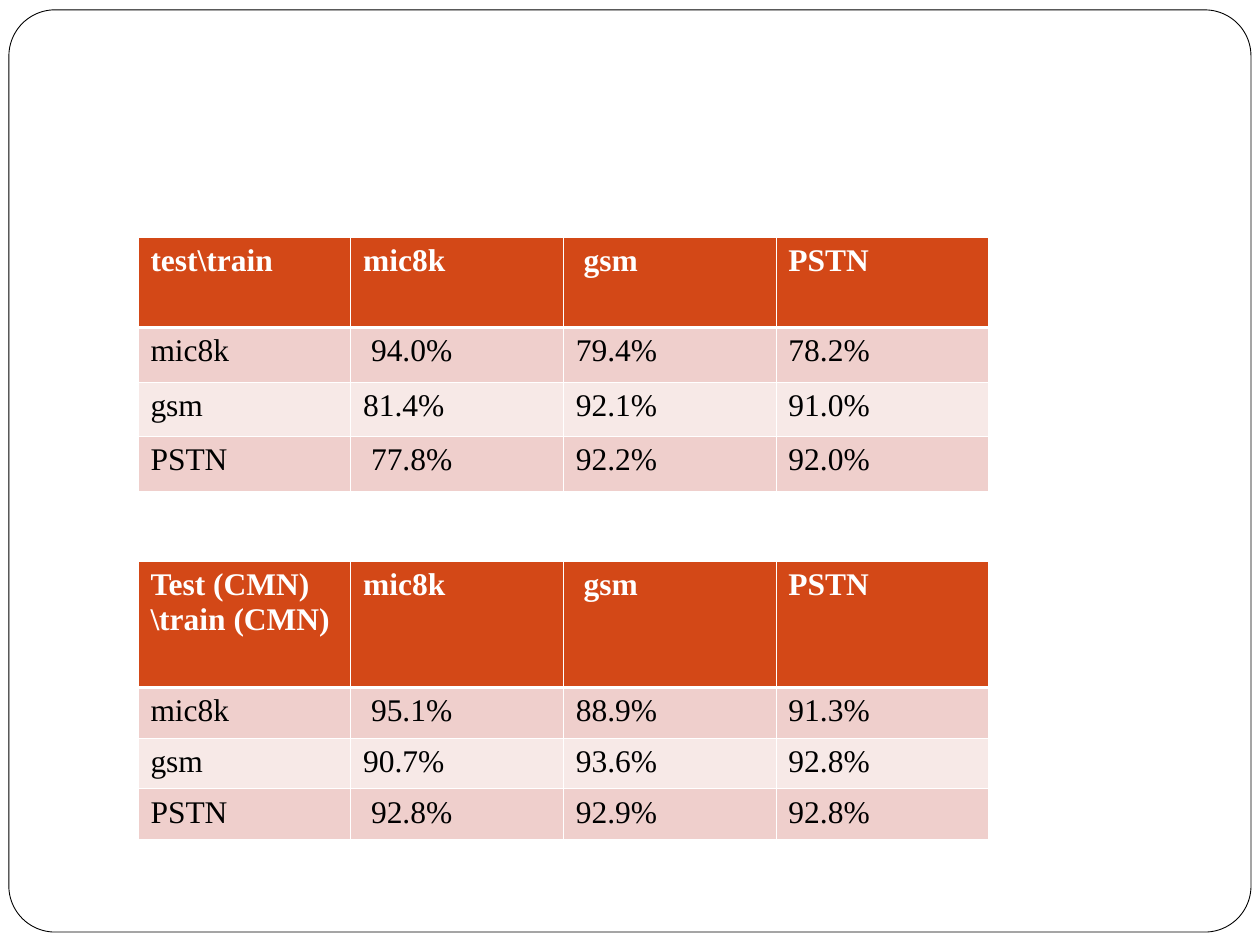
from lxml.etree import SubElement
from pptx import Presentation
from pptx.dml.color import RGBColor
from pptx.enum.shapes import MSO_SHAPE
from pptx.oxml.ns import qn
from pptx.util import Cm, Pt

COLORS = {
    "white": "FFFFFF",
    "black": "000000",
    "header": "D34817",
    "dark_band": "EFCFCC",
    "light_band": "F7E9E7",
}
FONT = "Times New Roman"
THIN, THICK = 0.45, 1.47
HEADINGS = ["mic8k", " gsm", "PSTN"]
PLAIN_RESULTS = [
    ["mic8k", " 94.0%", "79.4%", "78.2%"],
    ["gsm", "81.4%", "92.1%", "91.0%"],
    ["PSTN", " 77.8%", "92.2%", "92.0%"],
]
CMN_RESULTS = [
    ["mic8k", " 95.1%", "88.9%", "91.3%"],
    ["gsm", "90.7%", "93.6%", "92.8%"],
    ["PSTN", " 92.8%", "92.9%", "92.8%"],
]


def color(name):
    """Return the named palette colour."""
    return RGBColor.from_string(COLORS[name])


def add_frame(page, left, top, width, height):
    """Draw the rounded outline around the page."""
    frame = page.shapes.add_shape(
        MSO_SHAPE.ROUNDED_RECTANGLE, Cm(left), Cm(top), Cm(width), Cm(height)
    )
    frame.adjustments[0] = 0.05
    frame.shadow.inherit = False
    frame.fill.solid()
    frame.fill.fore_color.rgb = color("white")
    frame.line.color.rgb = color("black")
    frame.line.width = Pt(0.5)


def set_borders(cell, top, bottom):
    """Give a cell white borders with the given top and bottom widths."""
    properties = cell._tc.get_or_add_tcPr()
    for side, width in zip("LRTB", (THIN, THIN, top, bottom)):
        line = SubElement(properties, qn(f"a:ln{side}"), w=str(Pt(width)))
        fill = SubElement(line, qn("a:solidFill"))
        SubElement(fill, qn("a:srgbClr"), val=COLORS["white"])


def fill_cell(cell, lines, row_index):
    """Write and style one cell according to its row."""
    is_header = row_index == 0
    set_borders(
        cell,
        THICK if row_index == 1 else THIN,
        THICK if is_header else THIN,
    )
    band = "dark_band" if row_index % 2 else "light_band"
    cell.fill.solid()
    cell.fill.fore_color.rgb = color("header" if is_header else band)
    text_frame = cell.text_frame
    for index, line in enumerate(lines):
        para = text_frame.add_paragraph() if index else text_frame.paragraphs[0]
        span = para.add_run()
        span.text = line
        span.font.name = FONT
        span.font.size = Pt(18)
        span.font.bold = is_header
        span.font.color.rgb = color("white" if is_header else "black")


def add_results(page, left, top, width, header_height, row_height, corner, results):
    """Build one accuracy table with a corner label and equal columns."""
    rows = [[corner] + [[name] for name in HEADINGS]]
    rows += [[[value] for value in row] for row in results]
    height = header_height + row_height * len(results)
    table = page.shapes.add_table(
        len(rows), len(rows[0]), Cm(left), Cm(top), Cm(width), Cm(height)
    ).table
    for row_index, row in enumerate(rows):
        table.rows[row_index].height = Cm(row_height if row_index else header_height)
        for column_index, lines in enumerate(row):
            fill_cell(table.cell(row_index, column_index), lines, row_index)


def main():
    """Create the deck and save it."""
    deck = Presentation()
    deck.slide_width, deck.slide_height = Cm(25.4), Cm(19.05)
    page = deck.slides.add_slide(deck.slide_layouts[6])
    add_frame(page, 0.18, 0.2, 25.04, 18.59)
    add_results(page, 2.78, 4.78, 17.15, 1.82, 1.1, [r"test\train"], PLAIN_RESULTS)
    cmn_corner = ["Test (CMN)", r"\train (CMN)"]
    add_results(page, 2.78, 11.32, 17.15, 2.54, 1.02, cmn_corner, CMN_RESULTS)
    deck.save("out.pptx")


if __name__ == "__main__":
    main()
